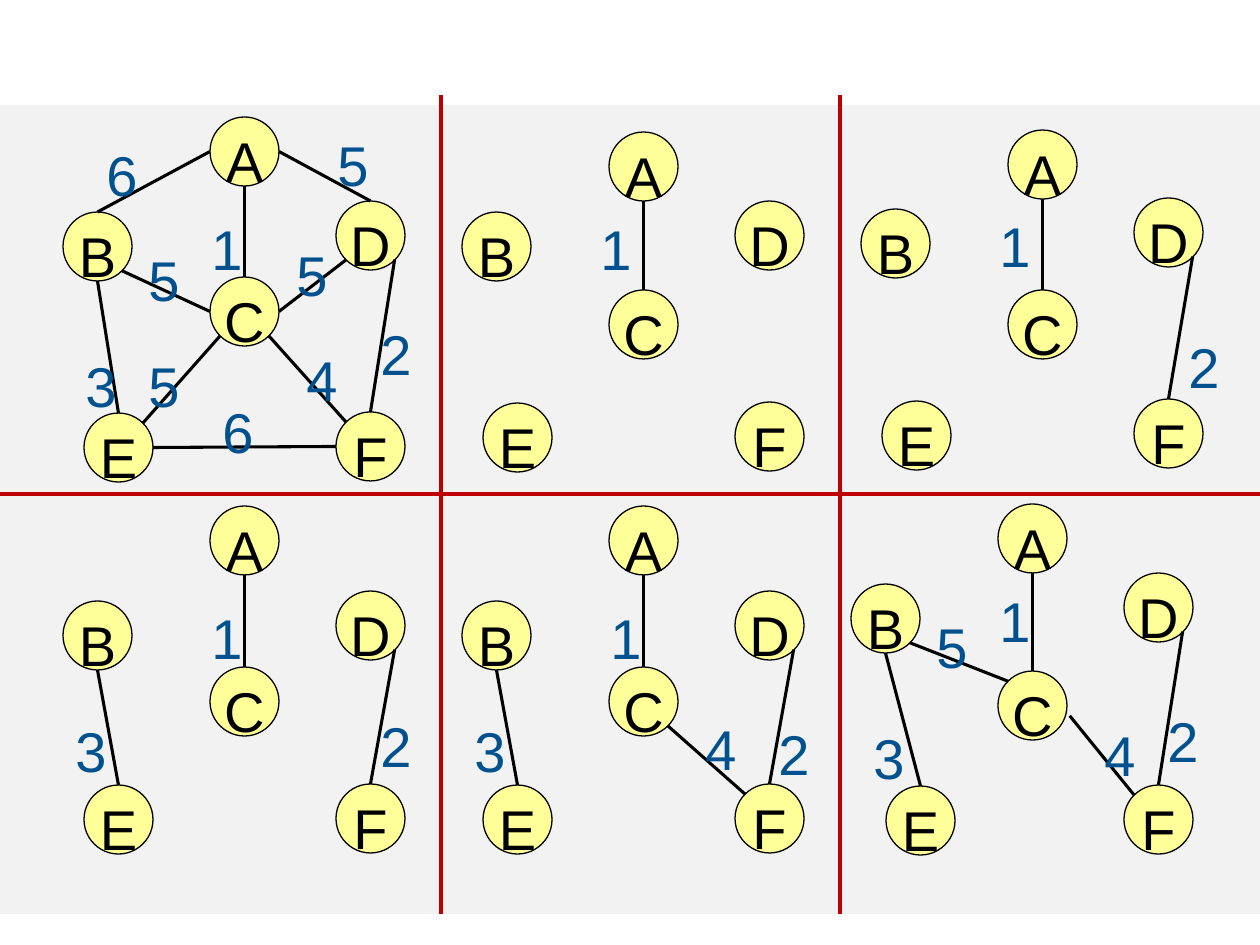
"""Build a slide that shows a minimum spanning tree growing edge by edge."""
import pptx
import pptx.dml.color
import pptx.enum.shapes
import pptx.enum.text
import pptx.oxml.ns
import pptx.util
from lxml import etree

COLORS = {"panel": "F2F2F2", "node": "FFFF99", "ink": "000000",
          "weight": "00518E", "divider": "C00000"}
EMU_PER_PX = 914400 / 126
DIAMETER = 69
SITES = {"N": (0.5, 0), "S": (0.5, 1), "W": (0, 0.5), "E": (1, 0.5),
         "NW": (0.15, 0.15), "NE": (0.85, 0.15), "SW": (0.15, 0.85),
         "SE": (0.85, 0.85), "ESE": (1.04, 0.65)}
WEIGHTS = {"AB": 6, "AC": 1, "AD": 5, "BC": 5, "BE": 3,
           "CD": 5, "CE": 5, "CF": 4, "DF": 2, "EF": 6}
PORTS = {"AB": ("W", "N"), "AC": ("S", "N"), "AD": ("E", "N"),
         "BC": ("SE", "W"), "BE": ("S", "N"), "CD": ("E", "SW"),
         "CE": ("SW", "NE"), "CF": ("SE", "NW"), "DF": ("SE", "N"),
         "EF": ("E", "W")}
OFFSETS = {"A": 147, "B": 0, "C": 147, "D": 273, "E": 21, "F": 273}

STEPS = [
    {"left": 63, "tops": (117, 212, 277, 201, 413, 412),
     "labels": {"AB": (94, 118), "AC": (199, 192), "AD": (325, 108),
                "BC": (136, 223), "BE": (73, 329), "CD": (284, 218),
                "CE": (136, 329), "CF": (294, 323), "DF": (368, 297),
                "EF": (210, 375)}},
    {"left": 462, "tops": (132, 212, 290, 201, 403, 402),
     "labels": {"AC": (588, 192)}},
    {"left": 861, "tops": (130, 209, 290, 198, 401, 399),
     "labels": {"AC": (987, 189), "DF": (1176, 310)}},
    {"left": 63, "tops": (506, 601, 667, 591, 785, 784),
     "labels": {"AC": (199, 581), "BE": (63, 694), "DF": (368, 689)}},
    {"left": 462, "tops": (506, 601, 667, 591, 785, 784),
     "labels": {"AC": (598, 581), "BE": (462, 694), "CF": (693, 692),
                "DF": (766, 697)}},
    {"left": 851, "tops": (504, 584, 671, 573, 786, 785),
     "offsets": {"E": 35},
     "ports": {"BC": ("SE", "NW"), "CF": ("ESE", "NW")},
     "labels": {"AC": (987, 564), "BC": (924, 590), "BE": (861, 701),
                "CF": (1092, 698), "DF": (1155, 684)}},
]


def px(length):
    """Turn px into EMU."""
    return pptx.util.Emu(round(length * EMU_PER_PX))


def rgb(role):
    """Return the colour of a role."""
    return pptx.dml.color.RGBColor.from_string(COLORS[role])


class Sketch:
    """Hold the style and the current slide."""

    def __init__(self, slide):
        """Start on a slide."""
        self.slide = slide
        self.font = "Arial"
        self.size = 32

    def shape(self, kind, left, top, width, height, fill):
        """Add a filled preset shape without outline."""
        shape = self.slide.shapes.add_shape(
            kind, px(left), px(top), px(width), px(height))
        shape.shadow.inherit = False
        shape.fill.solid()
        shape.fill.fore_color.rgb = rgb(fill)
        shape.line.fill.background()
        return shape

    def caption(self, frame, text, color, align):
        """Put one run in the first paragraph of a frame."""
        paragraph = frame.paragraphs[0]
        paragraph.alignment = align
        paragraph.line_spacing = 1.25
        paragraph.space_before = pptx.util.Pt(0)
        run = paragraph.add_run()
        run.text = text
        run.font.name = self.font
        run.font.size = pptx.util.Pt(self.size)
        run.font.color.rgb = rgb(color)

    def node(self, name, left, top):
        """Add a named graph node."""
        circle = self.shape(pptx.enum.shapes.MSO_SHAPE.OVAL,
                            left, top, DIAMETER, DIAMETER, "node")
        circle.line.color.rgb = rgb("ink")
        circle.line.width = pptx.util.Pt(0.75)
        circle.text_frame.word_wrap = False
        circle.text_frame.vertical_anchor = pptx.enum.text.MSO_ANCHOR.MIDDLE
        self.caption(circle.text_frame, name, "ink", pptx.enum.text.PP_ALIGN.CENTER)

    def weight(self, value, left, top):
        """Add the weight of an edge."""
        frame = self.slide.shapes.add_textbox(
            px(left), px(top), px(94), px(89)).text_frame
        frame.word_wrap = True
        frame.auto_size = pptx.enum.text.MSO_AUTO_SIZE.SHAPE_TO_FIT_TEXT
        self.caption(frame, str(value), "weight", pptx.enum.text.PP_ALIGN.LEFT)

    def line(self, start, end, color="ink", width=1.75):
        """Add a straight line between two points."""
        line = self.slide.shapes.add_connector(
            pptx.enum.shapes.MSO_CONNECTOR.STRAIGHT,
            *(px(value) for value in (*start, *end)))
        line.line.color.rgb = rgb(color)
        line.line.width = pptx.util.Pt(width)
        etree.SubElement(line._element.spPr, pptx.oxml.ns.qn("a:effectLst"))

    def graph(self, left, tops, labels, offsets={}, ports={}):
        """Add one step: its nodes, chosen edges and weights."""
        offsets = {**OFFSETS, **offsets}
        ports = {**PORTS, **ports}
        corners = {name: (left + offsets[name], top)
                   for name, top in zip("ABCDEF", tops)}
        for name, corner in corners.items():
            self.node(name, *corner)
        for edge in labels:
            ends = [[origin + DIAMETER * share
                     for origin, share in zip(corners[name], SITES[site])]
                    for name, site in zip(edge, ports[edge])]
            self.line(*ends)
        for edge, corner in labels.items():
            self.weight(WEIGHTS[edge], *corner)


def main():
    """Build and save the slide."""
    deck = pptx.Presentation()
    deck.slide_width, deck.slide_height = px(1260), px(945)
    sketch = Sketch(deck.slides.add_slide(deck.slide_layouts[6]))
    sketch.shape(pptx.enum.shapes.MSO_SHAPE.RECTANGLE, 0, 105, 1260, 809, "panel")
    for step in STEPS:
        sketch.graph(**step)
    for x in (441, 840):
        sketch.line((x, 95), (x, 914), "divider", 2.5)
    sketch.line((0, 494), (1260, 494), "divider", 2.5)
    deck.save("out.pptx")


if __name__ == "__main__":
    main()
